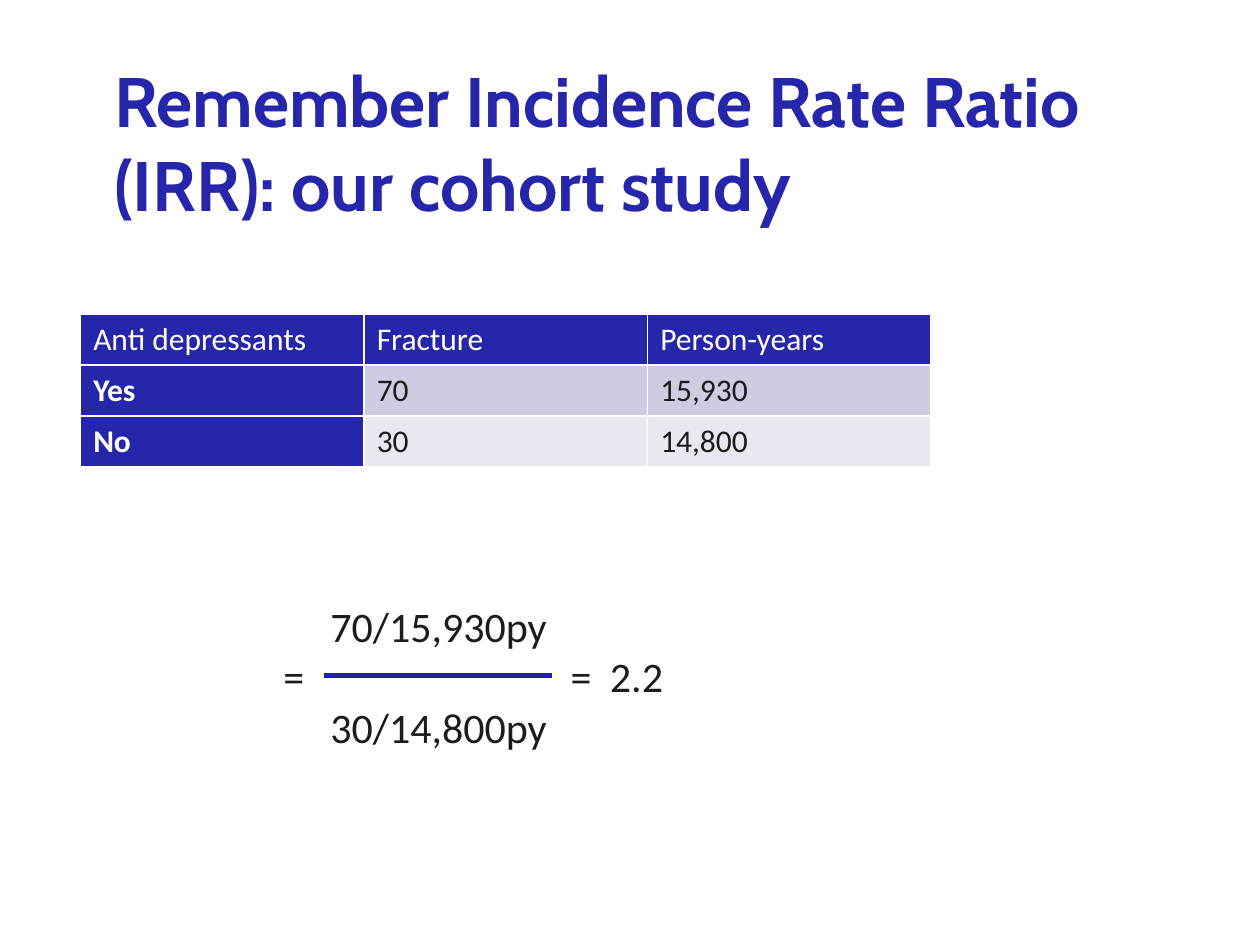
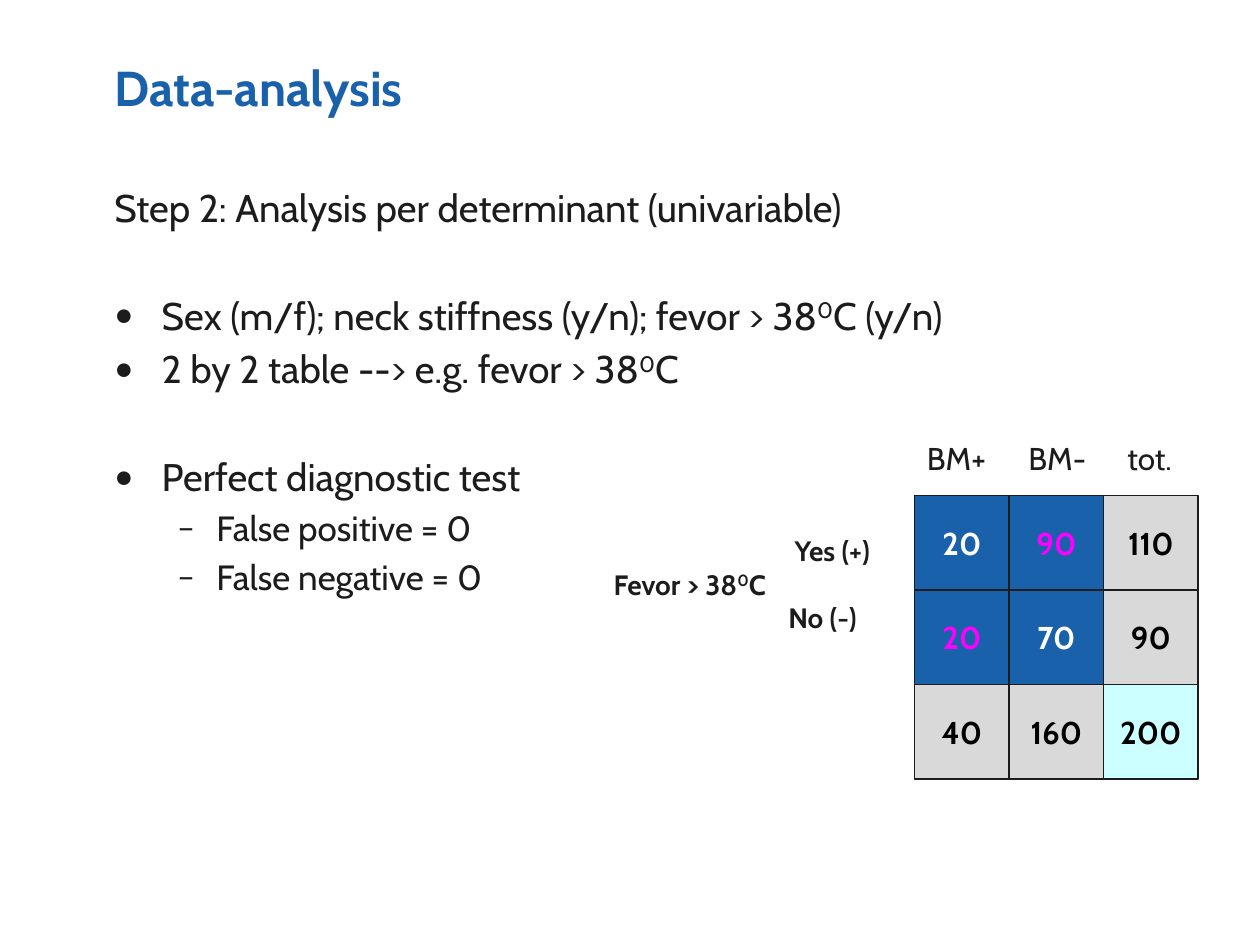
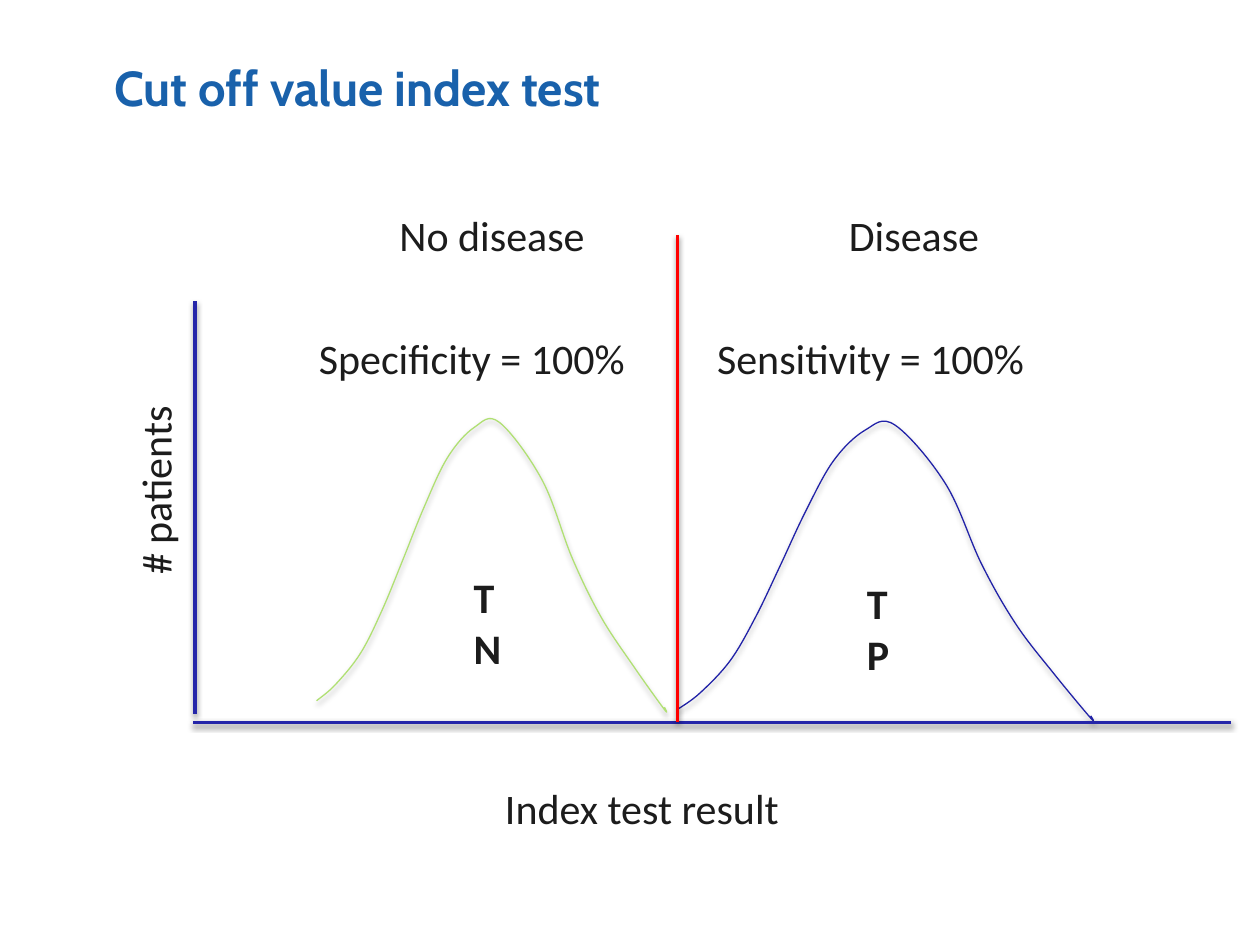
from lxml.etree import SubElement
from pptx import Presentation
from pptx.dml.color import RGBColor
from pptx.enum.shapes import MSO_CONNECTOR as CONN, MSO_SHAPE as SHAPE
from pptx.enum.text import MSO_ANCHOR as ANCHOR, PP_ALIGN as ALIGN
from pptx.oxml.ns import qn
from pptx.util import Pt

# Shared colours and fonts
INDIGO = RGBColor(0x25, 0x26, 0xA9)
DEEP_INDIGO = RGBColor(0x21, 0x22, 0xA8)
BLUE = RGBColor(0x19, 0x61, 0xAB)
INK = RGBColor(0x1C, 0x1C, 0x1C)
BLACK = RGBColor(0, 0, 0)
WHITE = RGBColor(0xFF, 0xFF, 0xFF)
LILAC = RGBColor(0xCD, 0xCD, 0xE2)
PALE_LILAC = RGBColor(0xE8, 0xE8, 0xF1)
GREY = RGBColor(0xD9, 0xD9, 0xD9)
CYAN = RGBColor(0xCC, 0xFF, 0xFF)
MAGENTA = RGBColor(0xFF, 0x00, 0xFF)
GREEN = RGBColor(0xB0, 0xE0, 0x73)
RED = RGBColor(0xFF, 0, 0)
HEAD_FONT, BODY_FONT = "Cabin", "Calibri"

# Slide 1: cohort table and rate ratio
COHORT = [
    ["Anti depressants", "Fracture", "Person-years"],
    ["Yes", "70", "15,930"],
    ["No", "30", "14,800"],
]
RATIO = [  # text, tab stops
    ("\t70/15,930py", [73.7]),
    ("\t=\t=\t2.2", [46.8, 211, 233.5]),
    ("\t30/14,800py", [73.7]),
]

# Slide 2: text between ^ marks is superscript
ANALYSIS = [  # text, size, space before, (bullet, margin, hanging)
    ("Step 2: Analysis per determinant (univariable)", 22, 0, None),
    ("Sex (m/f); neck stiffness (y/n); fevor > 38^0^C (y/n)", 22, 35.2, ("•", 27, 27)),
    ("2 by 2 table --> e.g. fevor > 38^0^C", 22, 4.4, ("•", 27, 27)),
    ("Perfect diagnostic test", 22, 35, ("•", 27, 27)),
    ("False positive = 0", 20, 4, ("–", 58.3, 22.3)),
    ("False negative = 0", 20, 4, ("–", 58.3, 22.3)),
]
COUNTS = [[20, 90, 110], [20, 70, 90], [40, 160, 200]]
COLUMN_HEADS = ("BM+\tBM-\ttot.", [58, 114.5])
ROW_HEADS = [("\tYes (+)", [103.4]), ("Fevor > 38^0^C", []), ("\tNo (-)", [99.8])]
GRID_LEFT, GRID_TOP, CELL = 522.6, 283.1, 54

# Slide 3: one bell outline, as knots in percent of its box
BELL = [(0, 95.7), (5.4, 90.2), (12.6, 79.5), (18.7, 65), (24.5, 48.3),
        (30.6, 30.3), (37.4, 13.2), (45, 3), (52.2, 1.3), (64.4, 20.9),
        (73, 47.4), (81.3, 67.5), (90.6, 84.2), (99.3, 98.7), (99.3, 97.9)]
BELLS = [(180.9, 239.2, 200.2, 168.5, GREEN), (387.4, 240.7, 237.6, 172, DEEP_INDIGO)]
AXES = [(111.4, 172.1, 111.4, 408.2, INDIGO), (703.5, 412.8, 110.2, 412.8, INDIGO),
        (387.1, 134.4, 387.1, 412.6, RED)]
LABELS = [  # text, box, extra format
    ("Index test result", (281.5, 443.5, 172.8, 36), {}),
    ("# patients", (32.4, 261.4, 112.3, 36), {"rotation": 270}),
    ("Specificity = 100%", (175.1, 186.5, 190.8, 36), {}),
    ("Sensitivity = 100%", (402.7, 186.5, 191.5, 36), {}),
    ("TN", (263.5, 323.3, 35.3, 51), {"bold": True, "wrap": True}),
    ("TP", (488.2, 326.7, 32.4, 51), {"bold": True, "wrap": True}),
    ("No disease", (221.2, 115.9, 133.9, 36), {"wrap": True}),
    ("Disease", (478, 115.9, 90, 36), {}),
]


def write(p, text, size=24, font=BODY_FONT, color=INK, bold=False,
          align=None, before=0, bullet=None, tabs=()):
    """Fill one paragraph and format it."""
    p.alignment, p.space_before = align, Pt(before)
    pPr = p._p.get_or_add_pPr()
    if bullet:
        char, margin, hanging = bullet
        pPr.set("marL", str(Pt(margin)))
        pPr.set("indent", str(-Pt(hanging)))
        SubElement(pPr, qn("a:buFont"), typeface=BODY_FONT)
        SubElement(pPr, qn("a:buChar"), char=char)
    if tabs:
        stops = SubElement(pPr, qn("a:tabLst"))
        for pos in tabs:
            SubElement(stops, qn("a:tab"), pos=str(Pt(pos)), algn="l")
    for i, part in enumerate(text.split("^")):
        r = p.add_run()
        r.text = part
        r.font.size, r.font.name, r.font.bold = Pt(size), font, bold
        r.font.color.rgb = color
        if i % 2:
            r.font._element.set("baseline", "30000")


def add_text(s, box, paragraphs, wrap=False, rotation=0, **fmt):
    """Add a text box; each paragraph is (text, own format)."""
    sp = s.shapes.add_textbox(*map(Pt, box))
    sp.rotation = rotation
    tf = sp.text_frame
    tf.word_wrap = wrap
    for i, (text, own) in enumerate(paragraphs):
        p = tf.paragraphs[0] if i == 0 else tf.add_paragraph()
        write(p, text, **{**fmt, **own})


def outline(sp, color, width, alpha=None, dist=1.8):
    """Set the line, and a soft shadow below it where alpha is given."""
    sp.line.color.rgb, sp.line.width = color, Pt(width)
    effects = SubElement(sp._element.spPr, qn("a:effectLst"))
    if alpha:
        shadow = SubElement(effects, qn("a:outerShdw"), blurRad=str(Pt(3.1)),
                            dist=str(Pt(dist)), dir="5400000", rotWithShape="0")
        black = SubElement(shadow, qn("a:srgbClr"), val="000000")
        SubElement(black, qn("a:alpha"), val=str(alpha * 1000))


def add_line(s, x1, y1, x2, y2, color, width, **shadow):
    sp = s.shapes.add_connector(CONN.STRAIGHT, Pt(x1), Pt(y1), Pt(x2), Pt(y2))
    outline(sp, color, width, **shadow)


def smooth(sp):
    """Turn the straight segments of a freeform into a Catmull-Rom curve."""
    knots = [(int(pt.get("x")), int(pt.get("y"))) for pt in sp._element.iter(qn("a:pt"))]
    ext = [knots[0], *knots, knots[-1]]
    segments = list(sp._element.iter(qn("a:lnTo")))
    for seg, a, b, c, d in zip(segments, ext, ext[1:], ext[2:], ext[3:]):
        leave = [q + (r - p) / 6 for p, q, r in zip(a, b, c)]
        arrive = [q - (r - p) / 6 for p, q, r in zip(b, c, d)]
        curve = SubElement(seg.getparent(), qn("a:cubicBezTo"))
        for x, y in (leave, arrive, c):
            SubElement(curve, qn("a:pt"), x=str(round(x)), y=str(round(y)))
        seg.getparent().replace(seg, curve)


def add_bell(s, left, top, width, height, color):
    knots = [(Pt(left + x * width / 100), Pt(top + y * height / 100)) for x, y in BELL]
    builder = s.shapes.build_freeform(*knots[0])
    builder.add_line_segments(knots[1:], close=False)
    sp = builder.convert_to_shape()
    smooth(sp)
    sp.fill.background()
    outline(sp, color, 0.75, alpha=35)


def new_slide(prs, title, size=28, color=BLUE):
    s = prs.slides.add_slide(prs.slide_layouts[6])
    add_text(s, (58.3, 29.5, 594, 64), [(title, {})], wrap=True,
             size=size, font=HEAD_FONT, color=color, bold=True)
    return s


def rate_ratio_slide(prs):
    s = new_slide(prs, "Remember Incidence Rate Ratio (IRR): our cohort study", 40, INDIGO)
    table = s.shapes.add_table(3, 3, Pt(46.1), Pt(179.3), Pt(486), Pt(87.6)).table
    table.first_col = True
    for i, row in enumerate(COHORT):
        for j, text in enumerate(row):
            cell = table.cell(i, j)
            head = i == 0 or j == 0
            cell.fill.solid()
            cell.fill.fore_color.rgb = INDIGO if head else (LILAC, PALE_LILAC)[i - 1]
            write(cell.text_frame.paragraphs[0], text, size=18,
                  color=WHITE if head else INK, bold=i > 0 and j == 0)
    add_text(s, (108, 339.6, 357, 95), [(t, {"tabs": tabs}) for t, tabs in RATIO], wrap=True)
    add_line(s, 185, 386.1, 315.4, 386.1, DEEP_INDIGO, 2.5)


def analysis_slide(prs):
    s = new_slide(prs, "Data-analysis")
    add_text(s, (58.3, 101.5, 594, 333.4),
             [(t, {"size": size, "before": before, "bullet": bullet})
              for t, size, before, bullet in ANALYSIS], wrap=True, font=HEAD_FONT)
    # Two-by-two counts with totals
    for i, row in enumerate(COUNTS):
        for j, count in enumerate(row):
            sp = s.shapes.add_shape(SHAPE.RECTANGLE, Pt(GRID_LEFT + j * CELL),
                                    Pt(GRID_TOP + i * CELL), Pt(CELL), Pt(CELL))
            if i < 2 and j < 2:
                fill, color = BLUE, WHITE if i == j else MAGENTA
            else:
                fill, color = CYAN if i == j else GREY, BLACK
            sp.fill.solid()
            sp.fill.fore_color.rgb = fill
            outline(sp, INK, 0.75)
            tf = sp.text_frame
            tf.word_wrap, tf.vertical_anchor = False, ANCHOR.MIDDLE
            write(tf.paragraphs[0], str(count), size=18, font=HEAD_FONT,
                  color=color, bold=True, align=ALIGN.CENTER)
    # Row and column heads
    text, tabs = COLUMN_HEADS
    add_text(s, (GRID_LEFT, 247.3, 198, 29), [(text, {"tabs": tabs})],
             wrap=True, size=18, font=HEAD_FONT)
    add_text(s, (343.6, 301.3, 178, 65.5), [(t, {"tabs": tabs}) for t, tabs in ROW_HEADS],
             wrap=True, size=16, font=HEAD_FONT, bold=True)


def cut_off_slide(prs):
    s = new_slide(prs, "Cut off value index test")
    for bell in BELLS:
        add_bell(s, *bell)
    for axis in AXES:
        add_line(s, *axis, 2, alpha=38, dist=1.6)
    for text, box, fmt in LABELS:
        add_text(s, box, [(text, {})], **fmt)


def main():
    prs = Presentation()
    prs.slide_width, prs.slide_height = Pt(720), Pt(540)
    rate_ratio_slide(prs)
    analysis_slide(prs)
    cut_off_slide(prs)
    prs.save("out.pptx")


if __name__ == "__main__":
    main()
